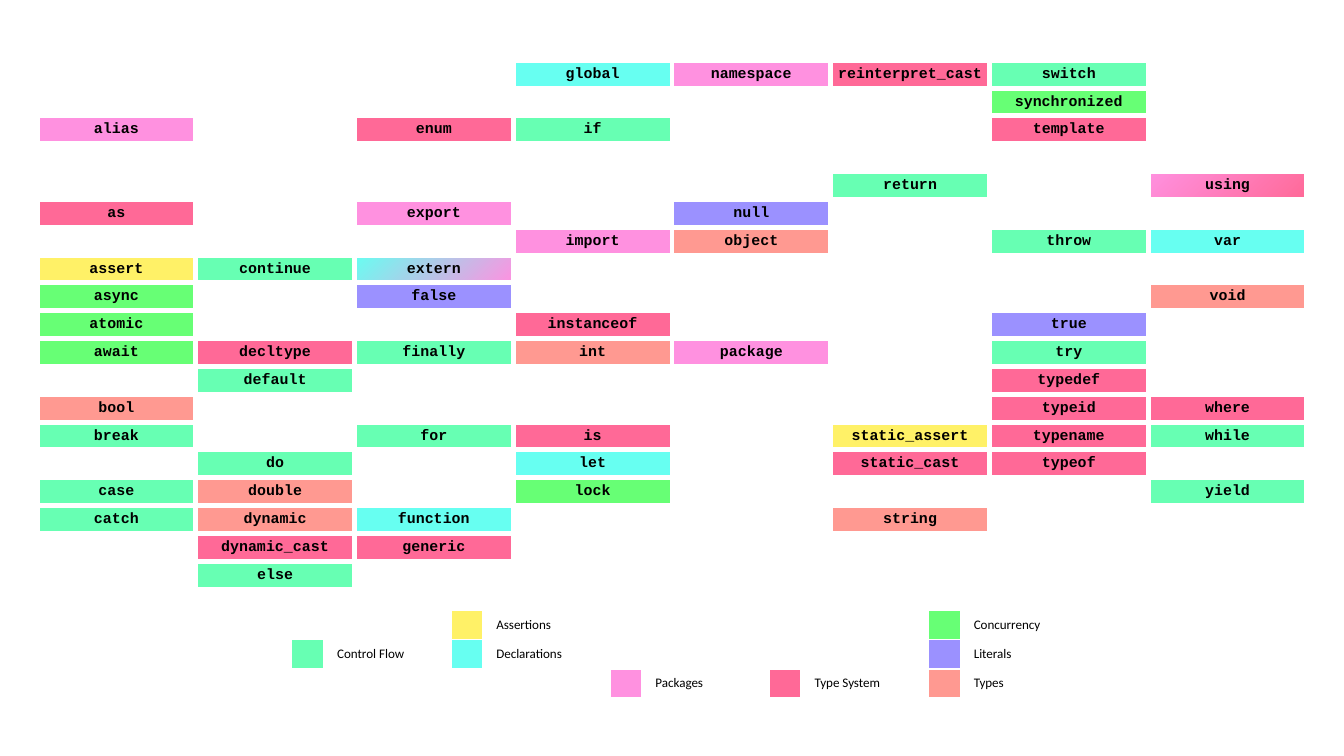
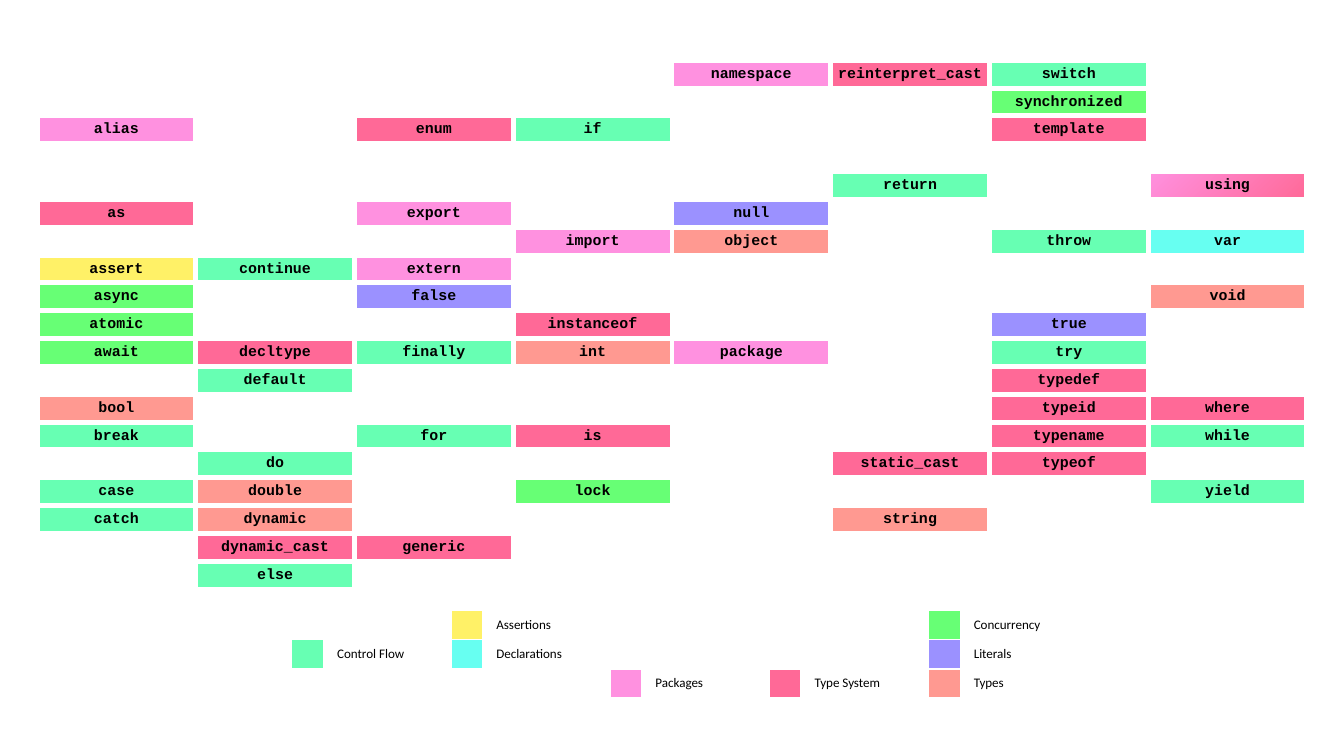
from lxml import etree
from pptx import Presentation, util as u
from pptx.dml import color
from pptx.enum import text
from pptx.oxml import ns

COLOURS = {
    "Assertions": "FFF167",
    "Concurrency": "67FF75",
    "Control Flow": "67FFB3",
    "Declarations": "67FFF1",
    "Literals": "9B91FF",
    "Packages": "FF91E0",
    "Type System": "FF6997",
    "Types": "FF9991",
    "text": "000000",
    "border": "FFFFFF",
}

KEYWORDS = {
    "Assertions": "assert static_assert",
    "Concurrency": "async atomic await lock synchronized",
    "Control Flow": "break case catch continue default do else finally for if "
                    "return switch throw try while yield",
    "Declarations": "extern function global let var",
    "Literals": "false null true",
    "Packages": "alias export extern import namespace package using",
    "Type System": "as decltype dynamic_cast enum generic instanceof is "
                   "reinterpret_cast static_cast template typedef typeid "
                   "typename typeof using where",
    "Types": "bool double dynamic int object string void",
}

KEYWORD_ROWS = [
    ". . . global namespace reinterpret_cast switch .",
    ". . . . . . synchronized .",
    "alias . enum if . . template .",
    ". . . . . . . .",
    ". . . . . return . using",
    "as . export . null . . .",
    ". . . import object . throw var",
    "assert continue extern . . . . .",
    "async . false . . . . void",
    "atomic . . instanceof . . true .",
    "await decltype finally int package . try .",
    ". default . . . . typedef .",
    "bool . . . . . typeid where",
    "break . for is . static_assert typename while",
    ". do . let . static_cast typeof .",
    "case double . lock . . . yield",
    "catch dynamic function . . string . .",
    ". dynamic_cast generic . . . . .",
    ". else . . . . . .",
]

LEGEND_ROWS = [
    (None, "Assertions", None, None, "Concurrency"),
    ("Control Flow", "Declarations", None, None, "Literals"),
    (None, None, "Packages", "Type System", "Types"),
]

REMOVED_BY_SLIDE = [
    {},
    {"Declarations": "extern function global let", "Assertions": "static_assert"},
]

KEYWORD_FONT = {"name": "Courier New", "size": 8, "bold": True}
LEGEND_FONT = {"name": "Calibri", "size": 7, "bold": False}


def rgb(name):
    return color.RGBColor.from_string(COLOURS[name])


def add_borders(cell, width):
    properties = cell._tc.get_or_add_tcPr()
    for side in ("lnL", "lnR", "lnT", "lnB"):
        line = etree.SubElement(properties, ns.qn(f"a:{side}"), w=str(u.Pt(width)))
        fill = etree.SubElement(line, ns.qn("a:solidFill"))
        etree.SubElement(fill, ns.qn("a:srgbClr"), val=COLOURS["border"])


def add_grid(slide, left, top, widths, height, row_count, border, font):
    shape = slide.shapes.add_table(
        row_count, len(widths), left, top, sum(widths), height)
    table = shape.table
    table.first_row = table.horz_banding = False
    for column, width in zip(table.columns, widths):
        column.width = width
    for row in table.rows:
        row.height = height // row_count
    for cell in table.iter_cells():
        add_borders(cell, border)
        cell.fill.background()
        etree.SubElement(cell.text_frame.paragraphs[0]._p,
                         ns.qn("a:endParaRPr"), sz=str(font["size"] * 100))
    return table


def write(cell, words, font):
    run = cell.text_frame.paragraphs[0].add_run()
    run.text = words
    run.font.name = font["name"]
    run.font.size = u.Pt(font["size"])
    run.font.bold = font["bold"]
    run.font.color.rgb = rgb("text")


def paint(cell, categories):
    if len(categories) == 1:
        cell.fill.solid()
        cell.fill.fore_color.rgb = rgb(categories[0])
    else:
        cell.fill.gradient()
        cell.fill.gradient_angle = 315
        for stop, category in zip(cell.fill.gradient_stops, categories):
            stop.color.rgb = rgb(category)


def categories_of(word, removed):
    return [category for category, words in KEYWORDS.items()
            if word in words.split()
            and word not in removed.get(category, "").split()]


def add_keywords(slide, removed):
    table = add_grid(slide, u.Cm(0.7), u.Cm(1.14), [u.Cm(3)] * 8, u.Cm(10),
                     len(KEYWORD_ROWS), 3, KEYWORD_FONT)
    for r, row in enumerate(KEYWORD_ROWS):
        for c, word in enumerate(row.split()):
            cell = table.cell(r, c)
            cell.margin_left = cell.margin_right = 0
            cell.margin_top = cell.margin_bottom = 0
            cell.vertical_anchor = text.MSO_ANCHOR.MIDDLE
            cell.text_frame.paragraphs[0].alignment = text.PP_ALIGN.CENTER
            categories = categories_of(word, removed)
            if categories:
                write(cell, word, KEYWORD_FONT)
                paint(cell, categories)


def add_legend(slide):
    table = add_grid(slide, u.Cm(5.51), u.Cm(11.53), [u.Cm(0.6), u.Cm(2.4)] * 5,
                     u.Cm(1.65), len(LEGEND_ROWS), 1, LEGEND_FONT)
    for r, row in enumerate(LEGEND_ROWS):
        for c, category in enumerate(row):
            if category:
                paint(table.cell(r, 2 * c), [category])
                write(table.cell(r, 2 * c + 1), category, LEGEND_FONT)


def main():
    presentation = Presentation()
    presentation.slide_width = u.Cm(25.4)
    presentation.slide_height = u.Cm(14.29)
    for removed in REMOVED_BY_SLIDE:
        slide = presentation.slides.add_slide(presentation.slide_layouts[6])
        add_keywords(slide, removed)
        add_legend(slide)
    presentation.save("out.pptx")


if __name__ == "__main__":
    main()
